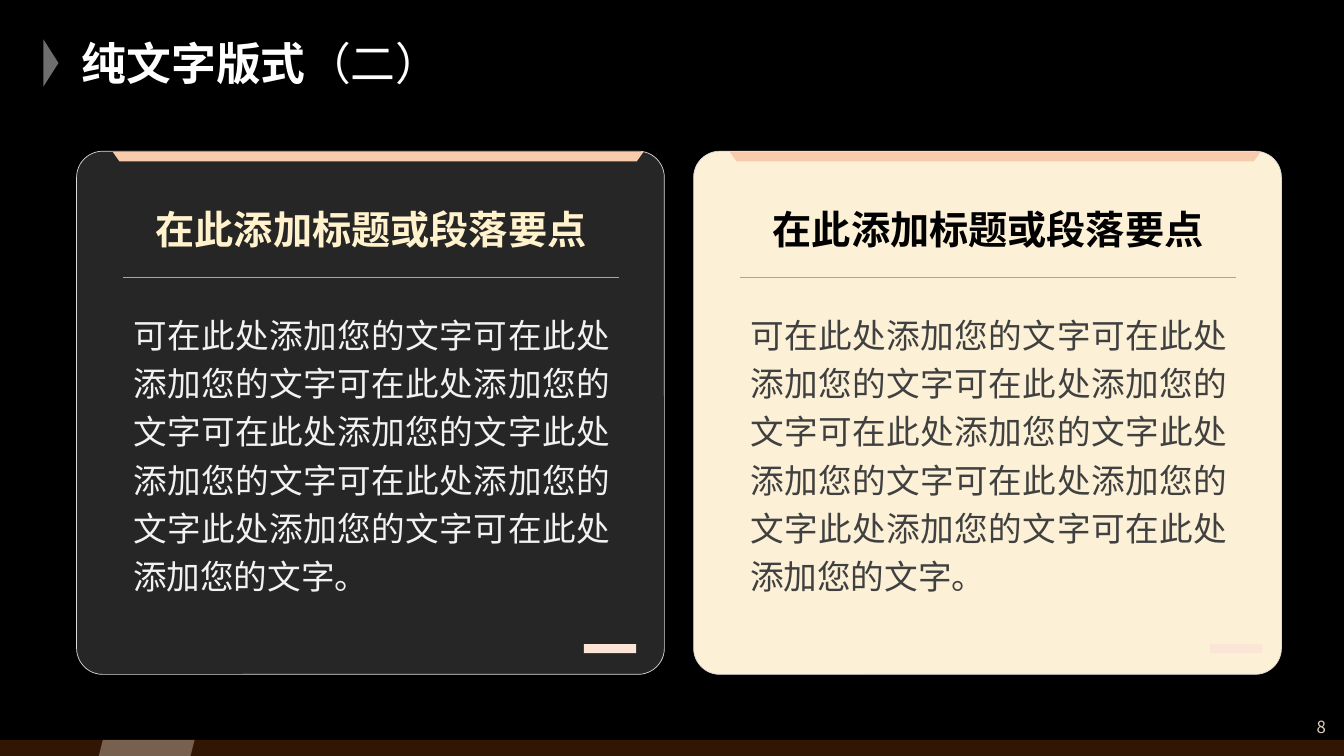
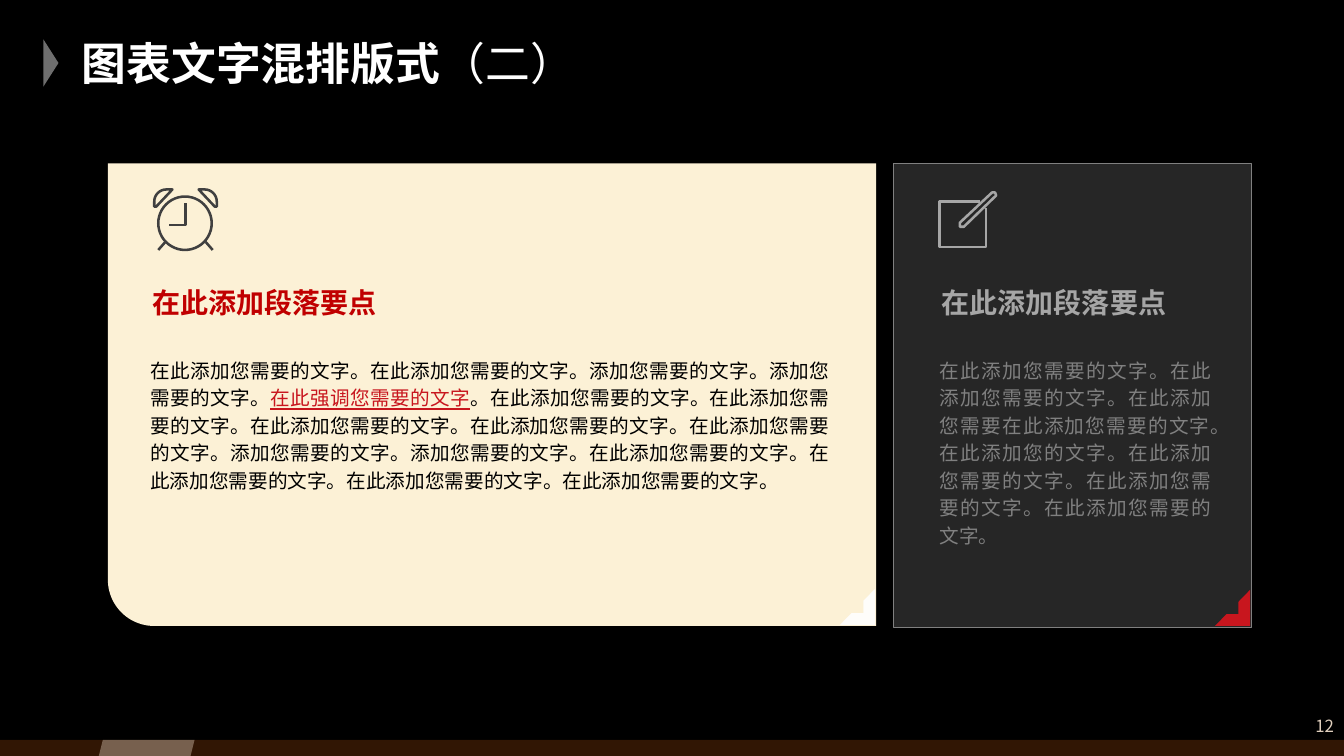
import math

from lxml import etree
from pptx import Presentation
from pptx import util as u
from pptx.dml.color import RGBColor
from pptx.enum import lang, shapes, text
from pptx.oxml import ns

Inches = u.Inches
Shape = shapes.MSO_SHAPE
Align = text.PP_ALIGN
Anchor = text.MSO_ANCHOR

FONT = "Noto Sans CJK SC"
BLACK = RGBColor(0x00, 0x00, 0x00)
WHITE = RGBColor(0xFF, 0xFF, 0xFF)
CREAM = RGBColor(0xFC, 0xF1, 0xD6)
PALE_YELLOW = RGBColor(0xFF, 0xF2, 0xCC)
PEACH = RGBColor(0xF8, 0xCB, 0xAD)
PALE_PEACH = RGBColor(0xFB, 0xE5, 0xD6)
SAND = RGBColor(0xE0, 0xCF, 0xBD)
ORANGE = RGBColor(0xC7, 0x58, 0x13)
RED = RGBColor(0xC8, 0x16, 0x1E)
DARK_RED = RGBColor(0xC0, 0x00, 0x00)
OFF_WHITE = RGBColor(0xF2, 0xF2, 0xF2)
LIGHT_GRAY = RGBColor(0xD9, 0xD9, 0xD9)
SILVER = RGBColor(0xA6, 0xA6, 0xA6)
GRAY = RGBColor(0x80, 0x80, 0x80)
ARROW_GRAY = RGBColor(0x6E, 0x6E, 0x6E)
CHARCOAL = RGBColor(0x40, 0x40, 0x40)

CARD_BODY = (
    "可在此处添加您的文字可在此处添加您的文字可在此处添加您的文字可在此处添加您的文字"
    "此处添加您的文字可在此处添加您的文字此处添加您的文字可在此处添加您的文字。"
)
WIDE_BODY = [
    ("在此添加您需要的文字。在此添加您需要的文字。添加您需要的文字。添加您需要的文字。", {}),
    ("在此强调您需要的文字", {"color": RED, "underline": True}),
    (
        "。在此添加您需要的文字。在此添加您需要的文字。在此添加您需要的文字。"
        "在此添加您需要的文字。在此添加您需要的文字。添加您需要的文字。添加您需要的文字。"
        "在此添加您需要的文字。在此添加您需要的文字。在此添加您需要的文字。在此添加您需要的文字。",
        {},
    ),
]
NARROW_BODY = [
    (
        "在此添加您需要的文字。在此添加您需要的文字。在此添加您需要在此添加您需要的文字。"
        "在此添加您的文字。在此添加您需要的文字。在此添加您需要的文字。在此添加您需要的文字。",
        {},
    )
]


def format_span(span, size, color, bold=False, underline=False):
    """Set the character format of one run, for Latin and East Asian text."""
    font = span.font
    font.name = FONT
    font.size = u.Pt(size)
    font.bold = bold
    font.underline = underline
    font.color.rgb = color
    font.language_id = lang.MSO_LANGUAGE_ID.SIMPLIFIED_CHINESE
    etree.SubElement(font._element, ns.qn("a:ea"), typeface=FONT)


def write_text(box, spans, size, color, bold=False, align=Align.LEFT,
               anchor=Anchor.TOP, spacing=1.0):
    """Fill a box with one paragraph of (text, format) spans."""
    frame = box.text_frame
    frame.word_wrap = True
    frame.auto_size = text.MSO_AUTO_SIZE.NONE
    frame.vertical_anchor = anchor
    para = frame.paragraphs[0]
    props = para._p.get_or_add_pPr()
    props.set("marL", "0")
    props.set("indent", "0")
    etree.SubElement(props, ns.qn("a:buNone"))
    para.alignment = align
    para.line_spacing = spacing
    para.space_before = u.Pt(0)
    for words, changes in spans:
        span = para.add_run()
        span.text = words
        format_span(span, **{"size": size, "color": color, "bold": bold, **changes})


def place_holder(page, index, left, top, width, height):
    """Move a placeholder to a place in front of the shapes drawn so far."""
    holder = page.placeholders[index]
    holder.left, holder.top = Inches(left), Inches(top)
    holder.width, holder.height = Inches(width), Inches(height)
    page.shapes.element.append(holder.element)
    return holder


def add_block(page, kind, left, top, width, height, fill, alpha=100,
              line=None, rotation=0, adjust=()):
    """Add a flat preset shape with optional transparency and outline."""
    block = page.shapes.add_shape(
        kind, Inches(left), Inches(top), Inches(width), Inches(height))
    block.shadow.inherit = False
    block.rotation = rotation
    for index, value in enumerate(adjust):
        block.adjustments[index] = value
    if fill is None:
        block.fill.background()
    else:
        block.fill.solid()
        block.fill.fore_color.rgb = fill
        if alpha < 100:
            color = block.element.spPr.find(ns.qn("a:solidFill"))[0]
            etree.SubElement(color, ns.qn("a:alpha"), val=str(alpha * 1000))
    if line is None:
        block.line.fill.background()
    else:
        color, weight = line
        block.line.color.rgb = color
        block.line.width = u.Pt(weight)
    return block


def add_line(page, start, end, color, weight):
    """Add a straight line without a shadow."""
    line = page.shapes.add_connector(
        shapes.MSO_CONNECTOR.STRAIGHT, *(Inches(value) for value in (*start, *end)))
    line.line.color.rgb = color
    line.line.width = u.Pt(weight)
    etree.SubElement(line._element.spPr, ns.qn("a:effectLst"))


def add_stroke(page, origin, points, color, close=False):
    """Draw an unfilled outline through points given relative to an origin."""
    places = [(Inches(origin[0] + x), Inches(origin[1] + y)) for x, y in points]
    builder = page.shapes.build_freeform(*places[0])
    builder.add_line_segments(places[1:], close=close)
    stroke = builder.convert_to_shape()
    stroke.shadow.inherit = False
    stroke.fill.background()
    stroke.line.color.rgb = color
    stroke.line.width = u.Pt(1.8)


def add_clock(page, left, top, color):
    """Draw an alarm clock icon."""
    origin = (left, top)
    center = 0.32
    add_block(page, Shape.OVAL, left + 0.05, top + 0.08, 0.53, 0.53, None,
              line=(color, 1.8))
    add_stroke(page, origin, [(0.16, 0.36), (0.32, 0.36), (0.32, 0.14)], color)
    arc = [(0.13 - 0.12 * math.sin(angle), 0.13 - 0.12 * math.cos(angle))
           for angle in (step * math.pi / 16 for step in range(9))]
    bell = [(0.19, 0.01), *arc, (0.01, 0.18), (0.03, 0.18)]
    leg = [(0.12, 0.53), (0.05, 0.61)]
    for side in (1, -1):
        for points, close in ((bell, True), (leg, False)):
            turned = [(center + side * (x - center), y) for x, y in points]
            add_stroke(page, origin, turned, color, close)


def add_notepad(page, left, top, color):
    """Draw a square sheet with a pencil across its corner."""
    sheet = [(0.41, 0.11), (0.01, 0.11), (0.01, 0.56), (0.47, 0.56), (0.47, 0.17)]
    pencil = [(0.21, 0.32), (0.53, 0.02), (0.56, 0.02), (0.57, 0.05),
              (0.25, 0.36), (0.21, 0.36)]
    add_stroke(page, (left, top), sheet, color)
    add_stroke(page, (left, top), pencil, color, close=True)


def add_page(deck, title, number, number_at):
    """Add a slide with the shared marker, title, footer band and number."""
    page = deck.slides.add_slide(deck.slide_layouts.get_by_name("Comparison"))
    add_block(page, Shape.ISOSCELES_TRIANGLE, 0.27, 0.55, 0.47, 0.15, ARROW_GRAY,
              rotation=90)
    add_block(page, Shape.RECTANGLE, 0, 7.34, 13.33, 0.16, ORANGE, alpha=25)
    add_block(page, Shape.PARALLELOGRAM, 0.98, 7.34, 0.95, 0.16, SAND, alpha=40)
    write_text(place_holder(page, 0, 0.71, 0.3, 10.69, 0.65),
               [(title, {"bold": True}), ("（二）", {})], 32, WHITE,
               anchor=Anchor.MIDDLE)
    left, top = number_at
    box = page.shapes.add_textbox(Inches(left), Inches(top), Inches(1.13), Inches(0.38))
    write_text(box, [(number, {})], 12, SAND, align=Align.RIGHT, anchor=Anchor.MIDDLE)
    return page


def add_card(page, index, left, top, fill, alpha, heading_color, body_color, tab_left):
    """Add a rounded card with a heading, a rule and a paragraph."""
    add_block(page, Shape.ROUNDED_RECTANGLE, left, top, 5.83, 5.19, fill, alpha,
              line=(LIGHT_GRAY, 0.5), adjust=[0.05])
    add_block(page, Shape.TRAPEZOID, left + 0.36, top + 0.01, 5.26, 0.09, PEACH,
              rotation=180, adjust=[0.71])
    write_text(place_holder(page, index, left + 0.29, top + 0.45, 5.26, 0.65),
               [("在此添加标题或段落要点", {})], 28, heading_color, bold=True,
               align=Align.CENTER, anchor=Anchor.MIDDLE)
    add_line(page, (left + 0.46, top + 1.25), (left + 5.38, top + 1.25), SILVER, 0.5)
    write_text(place_holder(page, index + 1, left + 0.46, top + 1.49, 4.93, 2.97),
               [(CARD_BODY, {})], 24, body_color, align=Align.JUSTIFY, spacing=1.2)
    add_block(page, Shape.RECTANGLE, left + tab_left, top + 4.89, 0.52, 0.09, PALE_PEACH)


def add_panel_text(page, index, left, top, width, spans, heading_color, body_color):
    """Add the heading and paragraph of a panel."""
    write_text(place_holder(page, index, left + 0.02, top, 2.89, 0.35),
               [("在此添加段落要点", {})], 20, heading_color, bold=True,
               anchor=Anchor.MIDDLE)
    write_text(place_holder(page, index + 1, left, top + 0.65, width, 1.95),
               spans, 14, body_color, align=Align.JUSTIFY, spacing=1.17)


def add_wide_panel(page, left, top, width, height):
    """Add the light panel with a clock and one rounded corner."""
    add_block(page, Shape.SNIP_ROUND_RECTANGLE, left + (width - height) / 2,
              top + (height - width) / 2, height, width, CREAM, rotation=270,
              adjust=[0.1, 0])
    add_clock(page, left + 0.45, top + 0.25, CHARCOAL)
    add_panel_text(page, 1, left + 0.32, top + 1.2, 6.94, WIDE_BODY, DARK_RED, BLACK)
    add_block(page, Shape.HALF_FRAME, left + width - 0.36, top + height - 0.37,
              0.35, 0.36, WHITE, alpha=90, rotation=180)


def add_narrow_panel(page, left, top, width, height):
    """Add the dark panel with a notepad and a red corner."""
    add_block(page, Shape.RECTANGLE, left, top, width, height, WHITE, alpha=15,
              line=(GRAY, 0.5))
    add_notepad(page, left + 0.45, top + 0.27, SILVER)
    add_panel_text(page, 3, left + 0.36, top + 1.2, 2.89, NARROW_BODY, SILVER, GRAY)
    add_block(page, Shape.HALF_FRAME, left + width - 0.36, top + height - 0.37,
              0.35, 0.36, RED, rotation=180)


def build_text_page(deck):
    """Build the slide with two text cards."""
    page = add_page(deck, "纯文字版式", "8", (12.12, 7.02))
    add_card(page, 1, 0.76, 1.5, WHITE, 15, PALE_YELLOW, OFF_WHITE, 5.03)
    add_card(page, 3, 6.88, 1.5, CREAM, 100, BLACK, CHARCOAL, 5.12)


def build_icon_page(deck):
    """Build the slide with a wide and a narrow icon panel."""
    page = add_page(deck, "图表文字混排版式", "12", (12.2, 7.01))
    add_wide_panel(page, 1.07, 1.62, 7.62, 4.59)
    add_narrow_panel(page, 8.86, 1.62, 3.55, 4.6)


def main():
    """Create the deck and save it."""
    deck = Presentation()
    deck.slide_width, deck.slide_height = Inches(13.33), Inches(7.5)
    backdrop = deck.slide_master.background.fill
    backdrop.solid()
    backdrop.fore_color.rgb = BLACK
    build_text_page(deck)
    build_icon_page(deck)
    deck.save("out.pptx")


if __name__ == "__main__":
    main()
